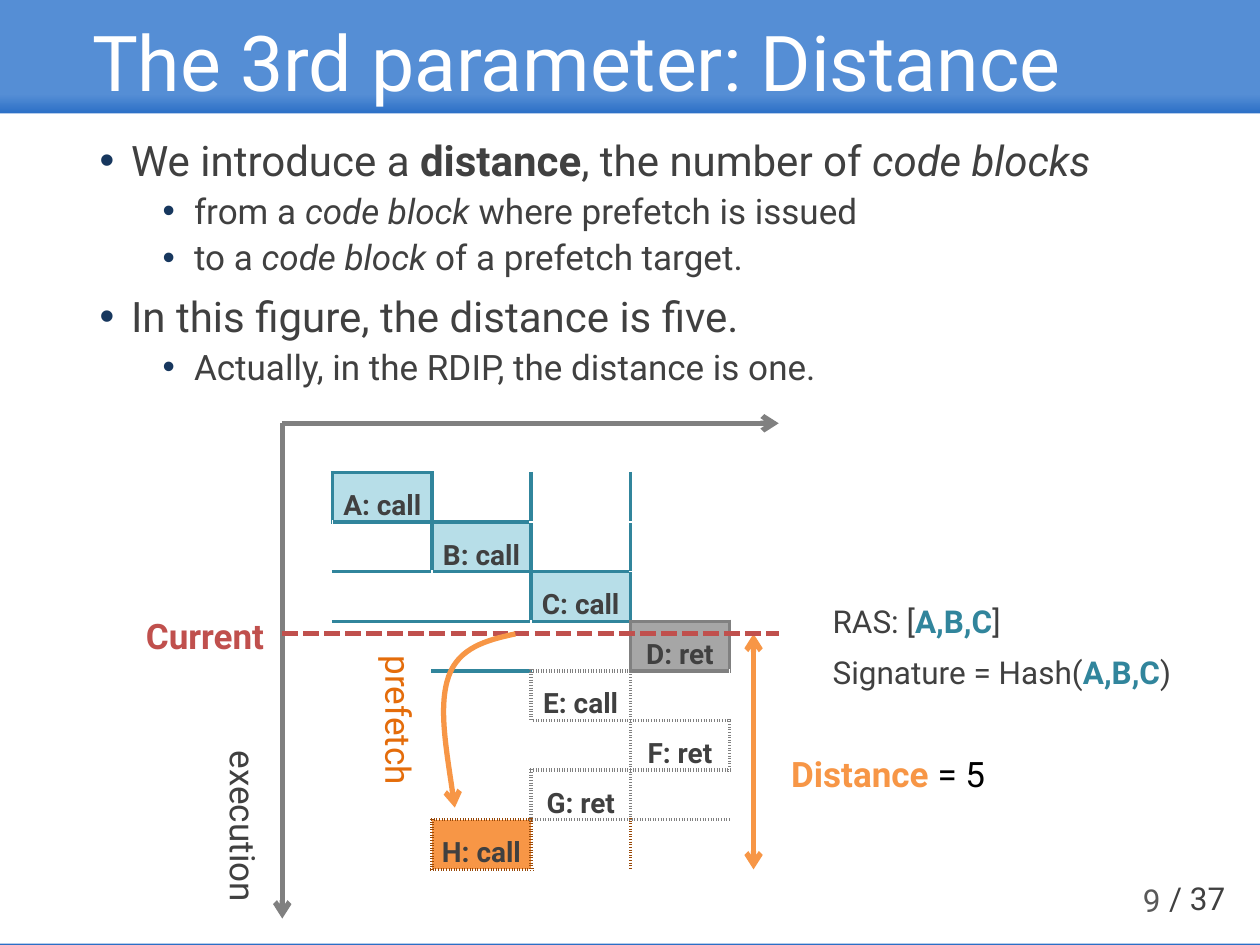
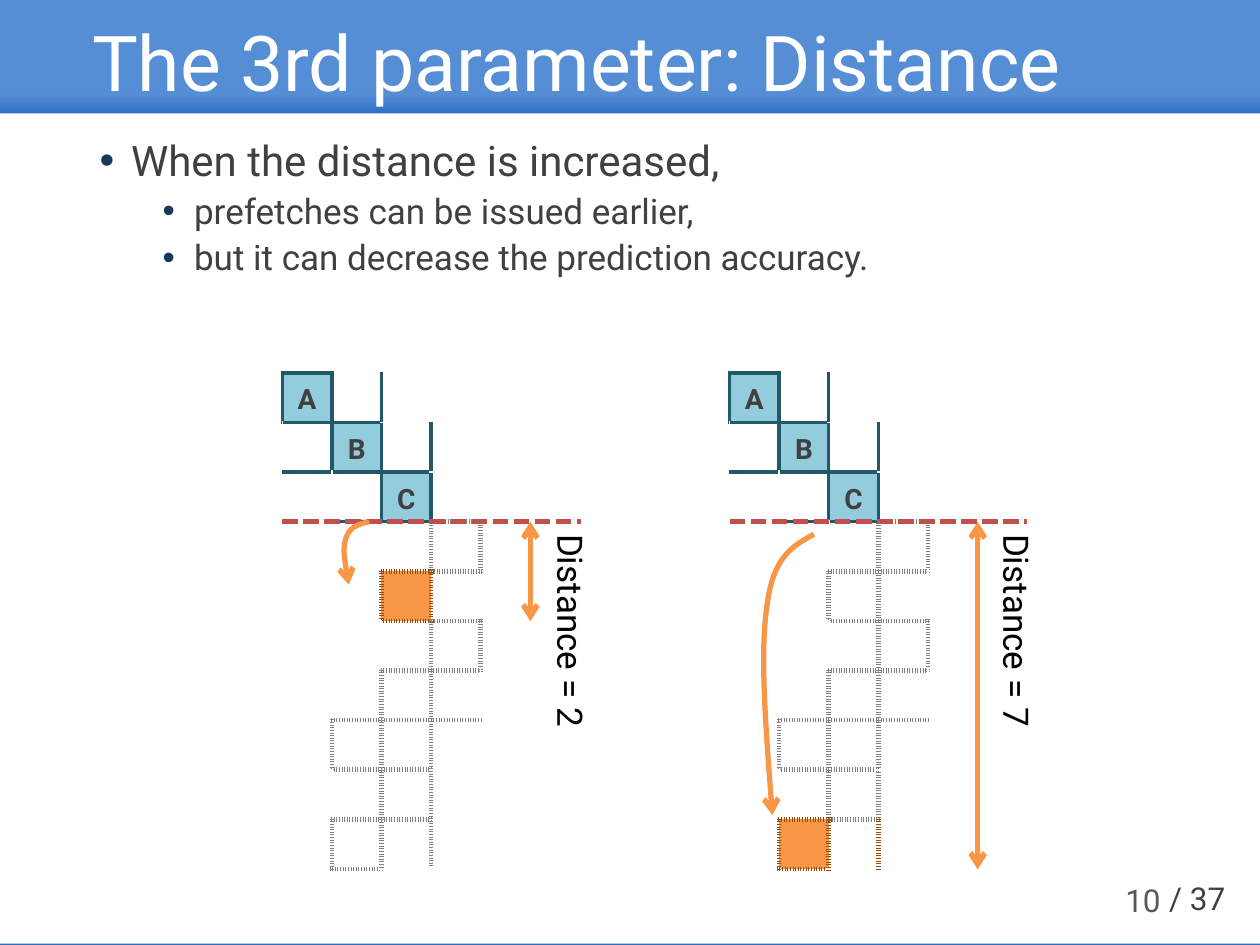
"""Build two slides on the prefetch distance parameter."""
from lxml.etree import SubElement
from pptx import Presentation
from pptx.dml.color import RGBColor
from pptx.enum.dml import MSO_LINE
from pptx.enum.shapes import MSO_CONNECTOR, MSO_SHAPE
from pptx.enum.text import MSO_ANCHOR as ANCHOR, MSO_AUTO_SIZE as AUTO_SIZE, PP_ALIGN as ALIGN
from pptx.oxml.ns import qn
from pptx.util import Pt

COLORS = {
    "band": "558ED5", "band_edge": "2B6FC6", "white": "FFFFFF", "black": "000000",
    "text": "404040", "page": "595959", "bullet": "17375E", "gray": "808080",
    "teal": "31859C", "orange": "F79646", "prefetch": "E46C0A", "current": "C0504D",
    "pale_teal": "B7DEE8", "light_teal": "93CDDD", "dark_teal": "215968",
    "returned": "A6A6A6", "brown": "984807",
}
RGB = {name: RGBColor.from_string(value) for name, value in COLORS.items()}
FONT = "Roboto"
TITLE = "The 3rd parameter: Distance"
CELL = 28.35
BULLET_SIZES = {0: (24, 10, 18), 1: (20, 5, 54)}
SIDES = {"L": (0, -1, "R"), "R": (0, 1, "L"), "T": (-1, 0, "B"), "B": (1, 0, "T")}

# fill, border colour, border width, border dash
CELL_STYLES = {
    "called": ("pale_teal", "teal", 2.25, "solid"),
    "returned": ("returned", "gray", 2.25, "solid"),
    "future": ("white", "gray", 2.25, "sysDot"),
    "target": ("orange", "brown", 2.25, "sysDot"),
    "stack": ("light_teal", "dark_teal", 2.25, "solid"),
    "later": ("white", "gray", 3, "sysDot"),
    "goal": ("orange", "brown", 3, "sysDot"),
}

call_columns = [0, 1, 2, 3, 2, 3, 2, 1]
call_labels = ["A: call", "B: call", "C: call", "D: ret", "E: call", "F: ret", "G: ret", "H: call"]
call_styles = ["called"] * 3 + ["returned"] + ["future"] * 3 + ["target"]
call_table = {
    "left": 190.1, "top": 270, "width": 2 * CELL, "anchor": ANCHOR.BOTTOM,
    "cells": list(zip(call_columns, call_labels, call_styles)),
    "extra_edges": [(0, 1, "R"), (1, 2, "R"), (1, 0, "B"), (2, 1, "B")],
    "edge_style": "called",
}

future_columns = [3, 2, 3, 2, 1, 2, 1]
stack_cells = [(column, label, "stack") for column, label in enumerate("ABC")]
distance_tables = []
for left, distance in ((161.3, 2), (416.9, 7)):
    future_cells = [
        (column, "", "goal" if step == distance else "later")
        for step, column in enumerate(future_columns, 1)
    ]
    distance_tables.append({
        "left": left, "top": 213.1, "width": CELL, "anchor": ANCHOR.MIDDLE,
        "cells": stack_cells + future_cells,
        "extra_edges": [(1, 2, "R")], "edge_style": "stack",
    })

# lines: start, end, colour, arrowheads, dashed
# labels: left, top, width, height, rotation, size, runs of (text, colour, bold)
PAGES = [
    {
        "number": "9", "body_width": 670.3,
        "bullets": [
            (0, [("We introduce a ", ""), ("distance", "b"), (", the number of ", ""), ("code blocks", "i")]),
            (1, [("from a ", ""), ("code block", "i"), (" where prefetch is issued", "")]),
            (1, [("to a ", ""), ("code block", "i"), (" of a prefetch target.", "")]),
            (0, [("In this figure, the distance is five.", "")]),
            (1, [("Actually, in the RDIP, the distance is one.", "")]),
        ],
        "tables": [call_table],
        "lines": [
            ((161.3, 241.9), (161.3, 524.9), "gray", ["tailEnd"], False),
            ((161.3, 241.9), (445, 241.9), "gray", ["tailEnd"], False),
            ((430.6, 362.2), (430.6, 496.8), "orange", ["headEnd", "tailEnd"], False),
            ((161.3, 362.2), (445, 362.2), "current", [], True),
        ],
        "curves": [
            [(294.5, 362.2), (277.9, 365.8), (262.1, 370.1), (256.3, 386.6),
             (250.6, 403.2), (255.6, 432), (259.9, 461.5)],
        ],
        "labels": [
            (81.4, 456.5, 108, 38.9, 90, 20, [("execution", "text", False)]),
            (173.9, 398.5, 100.8, 38.9, 90, 20, [("prefetch", "prefetch", False)]),
            (445, 426.2, 191.5, 31.7, 0, 20, [("Distance ", "orange", True), ("= 5", "black", False)]),
            (76.3, 347.8, 93.6, 31.7, 0, 20, [("Current", "current", True)]),
            (468.7, 340.6, 191.5, 28.8, 0, 18,
             [("RAS: [", "text", False), ("A,B,C", "teal", True), ("]", "text", False)]),
            (468.7, 369.4, 230, 28.8, 0, 18,
             [("Signature = Hash(", "text", False), ("A,B,C", "teal", True), (")", "text", False)]),
        ],
    },
    {
        "number": "10", "body_width": 620.6,
        "bullets": [
            (0, [("When the distance is increased,", "")]),
            (1, [("prefetches can be issued earlier,", "")]),
            (1, [("but it can decrease the prediction accuracy.", "")]),
        ],
        "tables": distance_tables,
        "lines": [
            ((161.3, 298.1), (331.9, 298.1), "current", [], True),
            ((416.9, 298.1), (586.8, 298.1), "current", [], True),
            ((303.1, 298.1), (303.1, 355), "orange", ["headEnd", "tailEnd"], False),
            ((558.7, 298.1), (558.7, 496.8), "orange", ["headEnd", "tailEnd"], False),
        ],
        "curves": [
            [(465.1, 305.3), (453.6, 311.8), (442.1, 317.5), (438.5, 344.9),
             (434.2, 371.5), (437.8, 418.3), (441.4, 465.8)],
            [(211, 298.1), (205.2, 299.5), (200.2, 301), (198, 306.7),
             (195.8, 313.2), (197.3, 323.3), (199.4, 334.1)],
        ],
        "labels": [
            (485.3, 378, 191.5, 31.7, 90, 20, [("Distance = 7", "black", False)]),
            (230.4, 378, 191.5, 31.7, 90, 20, [("Distance = 2", "black", False)]),
        ],
    },
]


def add_label(slide, left, top, width, height, rotation, size, runs, align=ALIGN.LEFT):
    box = slide.shapes.add_textbox(Pt(left), Pt(top), Pt(width), Pt(height))
    box.rotation = rotation
    box.text_frame.word_wrap = True
    paragraph = box.text_frame.paragraphs[0]
    paragraph.alignment = align
    paragraph.font.name = FONT
    paragraph.font.size = Pt(size)
    for text, color, bold in runs:
        run = paragraph.add_run()
        run.text = text
        run.font.bold = bold
        run.font.color.rgb = RGB[color]


def style_stroke(shape, color, arrowheads, dashed=False):
    shape.line.color.rgb = RGB[color]
    shape.line.width = Pt(3)
    if dashed:
        shape.line.dash_style = MSO_LINE.SQUARE_DOT
    properties = shape._element.spPr
    for end in arrowheads:
        SubElement(properties.find(qn("a:ln")), qn(f"a:{end}"), type="arrow")
    SubElement(properties, qn("a:effectLst"))


presentation = Presentation()
presentation.slide_width, presentation.slide_height = Pt(720), Pt(540)
background = presentation.slide_master.background.fill
background.gradient()
background.gradient_angle = 270
for stop, position, color in zip(background.gradient_stops, (0.1, 0.12), ("band", "band_edge")):
    stop.position = position
    stop.color.rgb = RGB[color]

for page in PAGES:
    slide = presentation.slides.add_slide(presentation.slide_layouts[1])
    title, body = slide.placeholders[0], slide.placeholders[1]

    panel = slide.shapes.add_shape(MSO_SHAPE.RECTANGLE, Pt(0), Pt(64.8), Pt(720), Pt(474.4))
    panel.shadow.inherit = False
    panel.fill.solid()
    panel.fill.fore_color.rgb = RGB["white"]
    panel.line.fill.background()
    slide.shapes._spTree.insert(2, panel._element)

    title.left, title.top, title.width, title.height = Pt(49.7), Pt(10.8), Pt(620.6), Pt(54.7)
    frame = title.text_frame
    frame.text = TITLE
    frame.auto_size = AUTO_SIZE.NONE
    frame.vertical_anchor = ANCHOR.MIDDLE
    frame.margin_left = frame.margin_right = frame.margin_top = frame.margin_bottom = Pt(2.9)
    paragraph = frame.paragraphs[0]
    paragraph.alignment = ALIGN.LEFT
    paragraph.line_spacing = 0.9
    paragraph.font.name = FONT
    paragraph.font.size = Pt(44)
    paragraph.font.color.rgb = RGB["white"]

    body.left, body.top, body.width, body.height = Pt(49.7), Pt(76.3), Pt(page["body_width"]), Pt(410.4)
    frame = body.text_frame
    frame.auto_size = AUTO_SIZE.NONE
    for index, (level, runs) in enumerate(page["bullets"]):
        paragraph = frame.add_paragraph() if index else frame.paragraphs[0]
        size, space_before, indent = BULLET_SIZES[level]
        paragraph.level = level
        paragraph.line_spacing = 0.9
        paragraph.space_before = Pt(space_before)
        properties = paragraph._p.get_or_add_pPr()
        properties.set("marL", str(Pt(indent)))
        properties.set("indent", str(-Pt(18)))
        bullet_color = SubElement(properties, qn("a:buClr"))
        SubElement(bullet_color, qn("a:srgbClr"), val=COLORS["bullet"])
        SubElement(properties, qn("a:buFont"), typeface="Arial")
        SubElement(properties, qn("a:buChar"), char="•")
        paragraph.font.name = FONT
        paragraph.font.size = Pt(size)
        paragraph.font.color.rgb = RGB["text"]
        for text, emphasis in runs:
            run = paragraph.add_run()
            run.text = text
            if emphasis == "b":
                run.font.bold = True
            elif emphasis == "i":
                run.font.italic = True

    for diagram in page["tables"]:
        row_count = len(diagram["cells"])
        table = slide.shapes.add_table(
            row_count, 4, Pt(diagram["left"]), Pt(diagram["top"]),
            Pt(4 * diagram["width"]), Pt(row_count * CELL),
        ).table
        table.first_row = table.horz_banding = False
        edges = [
            (row, column, side, style)
            for row, (column, _, style) in enumerate(diagram["cells"]) for side in SIDES
        ]
        edges += [(*edge, diagram["edge_style"]) for edge in diagram["extra_edges"]]
        borders = {}
        for row, column, side, style in edges:
            row_step, column_step, opposite = SIDES[side]
            borders[row, column, side] = style
            borders[row + row_step, column + column_step, opposite] = style

        for row, (box_column, label, box_style) in enumerate(diagram["cells"]):
            for column in range(4):
                cell = table.cell(row, column)
                cell.margin_left = cell.margin_right = cell.margin_top = Pt(2.9)
                cell.margin_bottom = Pt(0)
                cell.vertical_anchor = diagram["anchor"]
                for side in SIDES:
                    if (row, column, side) in borders:
                        _, color, width, dash = CELL_STYLES[borders[row, column, side]]
                        border = SubElement(cell._tc.get_or_add_tcPr(), qn(f"a:ln{side}"), w=str(Pt(width)))
                        solid = SubElement(border, qn("a:solidFill"))
                        SubElement(solid, qn("a:srgbClr"), val=COLORS[color])
                        SubElement(border, qn("a:prstDash"), val=dash)
                is_box = column == box_column
                cell.fill.solid()
                cell.fill.fore_color.rgb = RGB[CELL_STYLES[box_style][0] if is_box else "white"]
                if is_box and label:
                    cell.text = label
                    paragraph = cell.text_frame.paragraphs[0]
                    paragraph.alignment = ALIGN.CENTER
                    paragraph.font.name = FONT
                    paragraph.font.size = Pt(16)
                    paragraph.font.bold = True
                    paragraph.font.color.rgb = RGB["text"]
        for table_column in table.columns:
            table_column.width = Pt(diagram["width"])
        for table_row in table.rows:
            table_row.height = Pt(CELL)

    for start, end, color, arrowheads, dashed in page["lines"]:
        points = [Pt(value) for value in start + end]
        line = slide.shapes.add_connector(MSO_CONNECTOR.STRAIGHT, *points)
        style_stroke(line, color, arrowheads, dashed)

    for points in page["curves"]:
        start, *controls = [(Pt(x), Pt(y)) for x, y in points]
        builder = slide.shapes.build_freeform(*start)
        builder.add_line_segments(controls, close=False)
        curve = builder.convert_to_shape()
        segments = curve._element.xpath(".//a:lnTo")
        outline = segments[0].getparent()
        for first in range(0, len(segments), 3):
            bezier = SubElement(outline, qn("a:cubicBezTo"))
            for segment in segments[first:first + 3]:
                bezier.append(segment[0])
                outline.remove(segment)
        curve.fill.background()
        style_stroke(curve, "orange", ["tailEnd"])

    for label in page["labels"]:
        add_label(slide, *label)
    add_label(slide, 508.3, 499.7, 162, 28.8, 0, 18, [(page["number"], "page", False)], ALIGN.RIGHT)
    add_label(slide, 661, 499, 59, 28.8, 0, 18, [("/ 37", "text", False)])

presentation.save("out.pptx")
